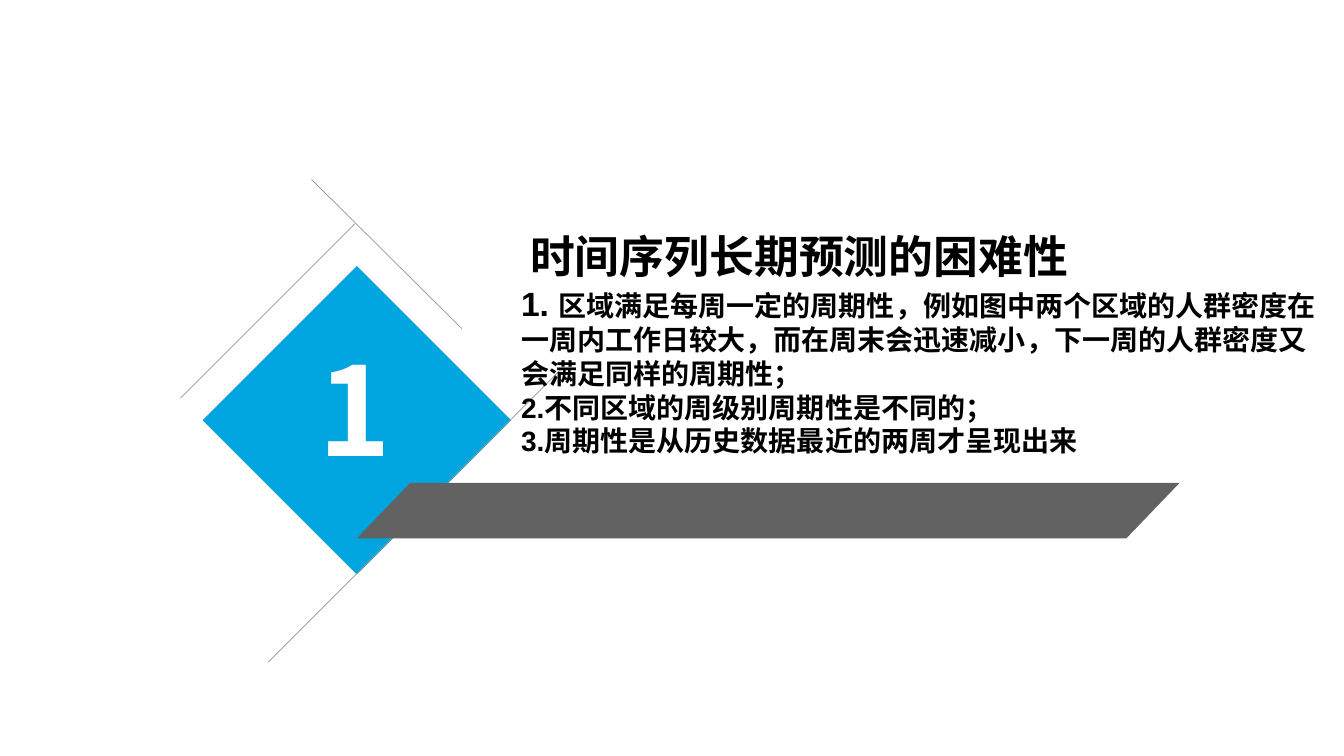
from lxml.etree import SubElement
from pptx import Presentation
from pptx.dml.color import RGBColor
from pptx.enum.shapes import MSO_CONNECTOR, MSO_SHAPE
from pptx.oxml.ns import qn
from pptx.util import Inches, Pt

COLORS = {"blue": "00A5E0", "gray": "626262", "line": "969696",
          "text": "000000", "number": "FFFFFF"}
LATIN_FONT = "Arial"
CHINESE_FONT = "Noto Sans CJK SC"

TITLE = [("时间序列长期预测的困难性", 32)]
POINTS = [
    [("1. ", 24), ("区域满足每周一定的周期性，例如图中两个区域的人群密度在一周内工作日较大，"
                   "而在周末会迅速减小，下一周的人群密度又会满足同样的周期性；", 20)],
    [("2.不同区域的周级别周期性是不同的；", 20)],
    [("3.周期性是从历史数据最近的两周才呈现出来", 20)],
]


def color(name):
    """Return the named colour."""
    return RGBColor.from_string(COLORS[name])


def add_filled_shape(slide, preset, box, fill):
    """Add a flat preset shape without an outline."""
    shape = slide.shapes.add_shape(preset, *map(Inches, box))
    shape.shadow.inherit = False
    shape.fill.solid()
    shape.fill.fore_color.rgb = color(fill)
    shape.line.fill.background()
    return shape


def add_thin_line(slide, start, end):
    """Add a thin gray line between two points."""
    line = slide.shapes.add_connector(
        MSO_CONNECTOR.STRAIGHT, *map(Inches, (*start, *end)))
    line.line.color.rgb = color("line")
    line.line.width = Pt(0.5)
    SubElement(line._element.spPr, qn("a:effectLst"))


def add_text(slide, box, paragraphs, font_name, font_color):
    """Add a wrapped bold text box and return its text frame."""
    frame = slide.shapes.add_textbox(*map(Inches, box)).text_frame
    frame.word_wrap = True
    for index, pieces in enumerate(paragraphs):
        paragraph = frame.add_paragraph() if index else frame.paragraphs[0]
        paragraph.font.name = font_name
        paragraph.font.bold = True
        paragraph.font.color.rgb = color(font_color)
        for text, size in pieces:
            run = paragraph.add_run()
            run.text = text
            run.font.size = Pt(size)
            SubElement(run.font._element, qn("a:ea"), typeface=CHINESE_FONT)
    return frame


def add_number_diamond(slide, left, top, size):
    """Draw the blue diamond with its diagonal lines."""
    middle = left + size / 2
    add_filled_shape(slide, MSO_SHAPE.DIAMOND, (left, top, size, size), "blue")
    for dx, dy, run, rise in [(-0.45, -0.86, 1.49, 1.48),
                              (-0.02, -0.42, -1.73, 1.73),
                              (-0.88, 3.93, 2.91, -2.91)]:
        start = (middle + dx, top + dy)
        add_thin_line(slide, start, (start[0] + run, start[1] + rise))


def add_base_bar(slide, left, top, width, height):
    """Draw the slanted gray bar."""
    bar = add_filled_shape(slide, MSO_SHAPE.PARALLELOGRAM,
                           (left, top, width, height), "gray")
    bar.adjustments[0] = 0.96


def add_section_text(slide, left, top, width, height):
    """Write the indented section title and its numbered points."""
    frame = add_text(slide, (left, top, width, height), [TITLE, *POINTS],
                     LATIN_FONT, "text")
    properties = frame.paragraphs[0]._p.get_or_add_pPr()
    properties.set("indent", str(Inches(0.09)))


def add_section_number(slide, left, top, width, height):
    """Write the large section number."""
    add_text(slide, (left, top, width, height), [[("1", 88)]],
             CHINESE_FONT, "number")


presentation = Presentation()
presentation.slide_width = Inches(13.33)
presentation.slide_height = Inches(7.5)
section_slide = presentation.slides.add_slide(presentation.slide_layouts[6])
add_number_diamond(section_slide, 2.01, 2.64, 3.06)
add_base_bar(section_slide, 3.54, 4.79, 8.16, 0.55)
add_section_text(section_slide, 5.07, 2.22, 8.2, 2.4)
add_section_number(section_slide, 3.06, 3.26, 0.87, 1.58)
presentation.save("out.pptx")
